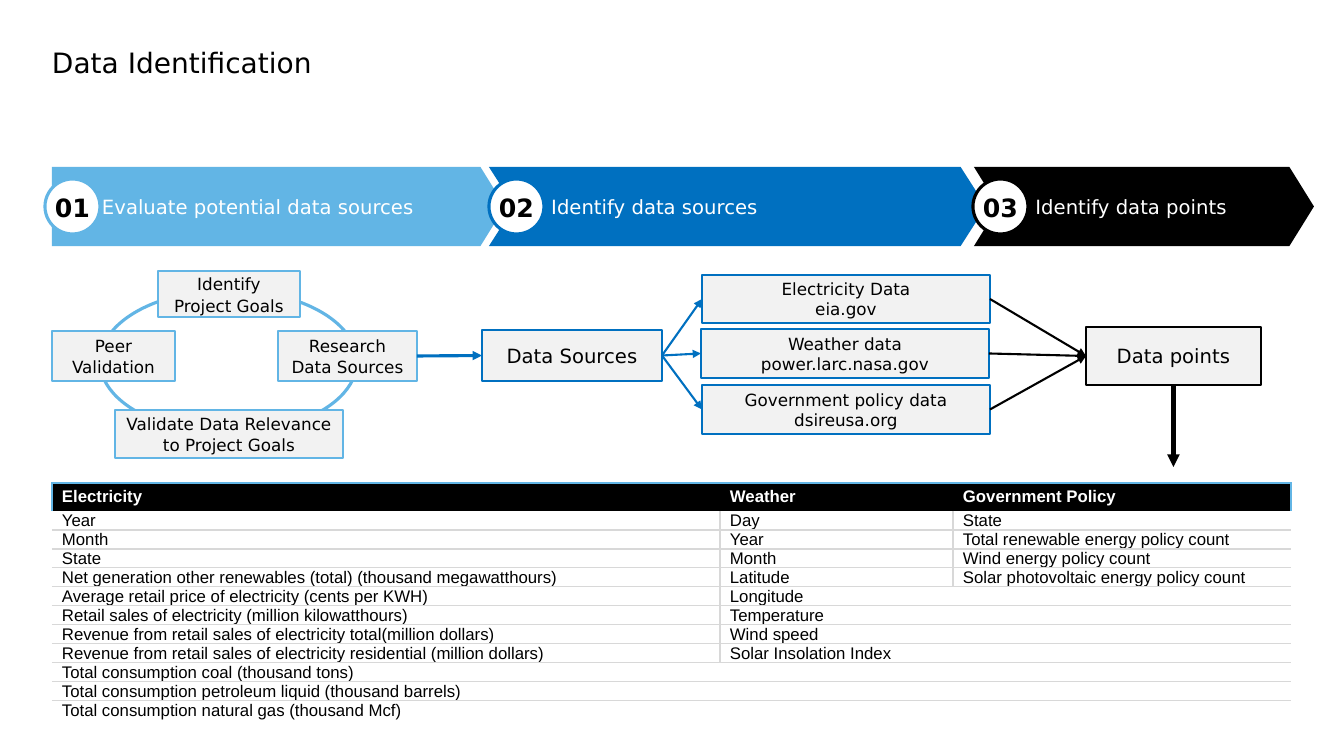
from lxml.etree import SubElement
from pptx import Presentation
from pptx.dml.color import RGBColor as RGB
from pptx.enum.shapes import MSO_CONNECTOR as Line, MSO_SHAPE as Shape
from pptx.enum.text import MSO_ANCHOR as Anchor, MSO_AUTO_SIZE as AutoSize, PP_ALIGN as Align
from pptx.oxml.ns import qn
from pptx.util import Pt

EMU_PER_PX = 914400 / 100.8
SKY = RGB(0x62, 0xB5, 0xE5)
BLUE = RGB(0x00, 0x70, 0xC0)
BLACK = RGB(0x00, 0x00, 0x00)
WHITE = RGB(0xFF, 0xFF, 0xFF)
PALE = RGB(0xF2, 0xF2, 0xF2)
GRID = RGB(0xD8, 0xD8, 0xD8)
LEFT, BOTTOM, RIGHT = 1, 2, 3

HEADINGS = ["Electricity", "Weather", "Government Policy"]
FIELDS = [
    ["Year", "Day", "State"],
    ["Month", "Year", "Total renewable energy policy count"],
    ["State", "Month", "Wind energy policy count"],
    ["Net generation other renewables (total) (thousand megawatthours)", "Latitude",
     "Solar photovoltaic energy policy count"],
    ["Average retail price of electricity (cents per KWH)", "Longitude"],
    ["Retail sales of electricity (million kilowatthours)", "Temperature"],
    ["Revenue from retail sales of electricity total(million dollars)", "Wind speed"],
    ["Revenue from retail sales of electricity residential (million dollars)",
     "Solar Insolation Index"],
    ["Total consumption coal (thousand tons)"],
    ["Total consumption petroleum liquid (thousand barrels)"],
    ["Total consumption natural gas (thousand Mcf)"],
]
CYCLE = [
    ("Identify Project Goals", (158, 271, 142, 46)),
    ("Peer Validation", (52, 331, 123, 50)),
    ("Validate Data Relevance to Project Goals", (115, 410, 228, 48)),
    ("Research Data Sources", (278, 331, 139, 50)),
]
SOURCES = [
    ("Electricity Data\neia.gov", (702, 275, 288, 48)),
    ("Weather data power.larc.nasa.gov", (701, 329, 288, 49)),
    ("Government policy data dsireusa.org", (702, 385, 288, 49)),
]
STAGES = [
    ("Evaluate potential data sources", Shape.PENTAGON, 52, 453, 0.31, SKY, 50, 45),
    ("Identify data sources", Shape.CHEVRON, 489, 497, 0.32, BLUE, 37, 489),
    ("Identify data points", Shape.CHEVRON, 974, 340, 0.31, BLACK, 37, 973),
]


def px(length):
    return round(length * EMU_PER_PX)


class SlideBuilder:
    """Draws styled elements, measured in px, on the current slide."""

    def __init__(self, page, font="DejaVu Sans", table_font="Arial"):
        self.page = page
        self.font = font
        self.table_font = table_font

    def style(self, para, size, color, bold=False, font=None):
        para.font.name = font or self.font
        para.font.size = Pt(size)
        para.font.bold = bold
        para.font.color.rgb = color

    def title(self, text, bounds):
        box = self.page.shapes.title
        box.left, box.top, box.width, box.height = map(px, bounds)
        frame = box.text_frame
        frame.text = text
        frame.auto_size = AutoSize.NONE
        frame.vertical_anchor = Anchor.MIDDLE
        frame.margin_left = frame.margin_right = frame.margin_top = frame.margin_bottom = 0
        frame.paragraphs[0].alignment = Align.LEFT
        self.style(frame.paragraphs[0], 20, BLACK)

    def shape(self, kind, bounds, fill=None, line=None, width=2.0):
        box = self.page.shapes.add_shape(kind, *map(px, bounds))
        box.shadow.inherit = False
        if fill is None:
            box.fill.background()
        else:
            box.fill.solid()
            box.fill.fore_color.rgb = fill
        if line is None:
            box.line.fill.background()
        else:
            box.line.color.rgb = line
            box.line.width = Pt(width)
        return box

    def label(self, box, text, size, color=BLACK, bold=False, align=Align.CENTER,
              left=10, right=10, spacing=1.0):
        frame = box.text_frame
        frame.word_wrap = True
        frame.vertical_anchor = Anchor.MIDDLE
        frame.margin_left, frame.margin_right = px(left), px(right)
        frame.margin_top = frame.margin_bottom = 0
        frame.text = text
        for para in frame.paragraphs:
            para.alignment = align
            para.line_spacing = spacing
            self.style(para, size, color, bold)

    def box(self, text, bounds, line, size=12, width=2.0, spacing=1.0, kind=Shape.RECTANGLE):
        box = self.shape(kind, bounds, PALE, line, width)
        self.label(box, text, size, spacing=spacing)
        return box

    def stage(self, number, text, kind, left, width, tip, color, indent, badge_left):
        banner = self.shape(kind, (left, 167, width, 79), color)
        banner.adjustments[0] = tip
        self.label(banner, text, 14, WHITE, align=Align.LEFT, left=indent)
        badge = self.shape(Shape.OVAL, (badge_left, 179, 55, 55), WHITE, color, 2.25)
        self.label(badge, f"{number:02}", 18, bold=True, left=0, right=0, spacing=1.06)

    def arrow(self, start, color, width, end=None, side=RIGHT, reach=0):
        x = start.left + start.width // 2
        y = start.top + start.height
        arrow = self.page.shapes.add_connector(Line.STRAIGHT, x, y, x, y + px(reach))
        arrow.begin_connect(start, side)
        if end is not None:
            arrow.end_connect(end, LEFT)
        arrow.line.color.rgb = color
        arrow.line.width = Pt(width)
        properties = arrow.element.spPr
        SubElement(properties.find(qn("a:ln")), qn("a:tailEnd"), type="triangle")
        SubElement(properties, qn("a:effectLst"))

    def borders(self, cell_element, colors):
        properties = cell_element.get_or_add_tcPr()
        for side in "LRTB":
            edge = SubElement(properties, qn(f"a:ln{side}"), w=str(Pt(1)))
            if side in colors:
                fill = SubElement(edge, qn("a:solidFill"))
                SubElement(fill, qn("a:srgbClr"), val=str(colors[side]))
            else:
                SubElement(edge, qn("a:noFill"))

    def table(self, left, top, widths, header_height, row_height):
        rows = [HEADINGS] + FIELDS
        last_row, last_column = len(rows) - 1, len(widths) - 1
        height = header_height + row_height * last_row
        frame = self.page.shapes.add_table(
            len(rows), len(widths), *map(px, (left, top, sum(widths), height)))
        table = frame.table
        table.first_row = table.horz_banding = False
        for column, width in zip(table.columns, widths):
            column.width = px(width)
        elements = frame.element.iter(qn("a:tc"))
        for i, texts in enumerate(rows):
            table.rows[i].height = px(row_height if i else header_height)
            for j in range(len(widths)):
                cell = table.cell(i, j)
                if i == 0:
                    colors = {"T": SKY}
                    colors.update({"L": SKY} if j == 0 else {})
                    colors.update({"R": SKY} if j == last_column else {})
                else:
                    colors = {"B": GRID} if i < last_row else {}
                    colors.update({"T": GRID} if i > 1 else {})
                    colors.update({"L": GRID} if 0 < j < len(texts) else {})
                    colors.update({"R": GRID} if j < len(texts) - 1 else {})
                self.borders(next(elements), colors)
                cell.fill.solid()
                cell.fill.fore_color.rgb = WHITE if i else BLACK
                cell.margin_left = px(10)
                cell.margin_right = cell.margin_top = cell.margin_bottom = 0
                cell.vertical_anchor = Anchor.BOTTOM if i else Anchor.MIDDLE
                cell.text = texts[j] if j < len(texts) else ""
                self.style(cell.text_frame.paragraphs[0], 12, BLACK if i else WHITE,
                           i == 0, self.table_font)
            if len(texts) < len(widths):
                table.cell(i, len(texts) - 1).merge(table.cell(i, last_column))


def main():
    deck = Presentation()
    deck.slide_width, deck.slide_height = px(1344), px(756)
    slide = SlideBuilder(deck.slides.add_slide(deck.slide_layouts[5]))

    slide.title("Data Identification", (52, 44, 1240, 37))
    slide.table(52, 483, (668, 233, 338), 28, 19)

    slide.shape(Shape.OVAL, (100, 290, 257, 143), line=SKY, width=2.25)
    steps = [slide.box(text, bounds, SKY, width=1.5, spacing=1.06) for text, bounds in CYCLE]
    hub = slide.box("Data Sources", (482, 330, 180, 51), BLUE, size=14)
    sources = [slide.box(text, bounds, BLUE) for text, bounds in SOURCES]
    points = slide.box("Data points", (1086, 327, 175, 58), BLACK, size=14,
                       kind=Shape.FLOWCHART_PROCESS)

    slide.arrow(steps[-1], BLUE, 2.25, hub)
    for source in sources:
        slide.arrow(hub, BLUE, 1.5, source)
        slide.arrow(source, BLACK, 1.5, points)
    slide.arrow(points, BLACK, 3, side=BOTTOM, reach=82)

    for number, stage in enumerate(STAGES, 1):
        slide.stage(number, *stage)

    deck.save("out.pptx")


if __name__ == "__main__":
    main()
